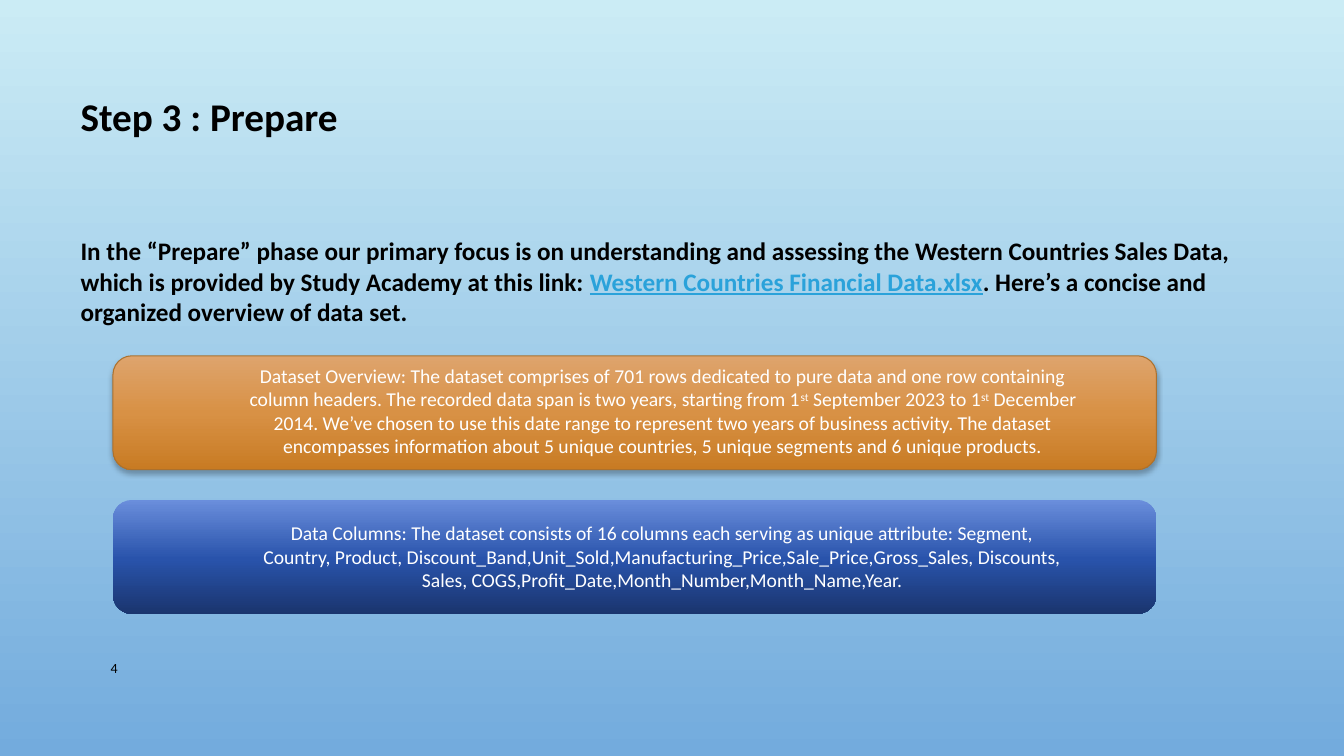
import pptx
import pptx.util
import pptx.dml.color
import pptx.enum.shapes
import pptx.enum.text
import pptx.oxml
import pptx.oxml.ns
from pptx.util import Inches

BLACK, WHITE, LINK_BLUE = "000000", "FFFFFF", "2AA2DA"
ALIGN = pptx.enum.text.PP_ALIGN
ANCHOR = pptx.enum.text.MSO_ANCHOR


def color(hex_code):
    return pptx.dml.color.RGBColor.from_string(hex_code)


def element(xml):
    """Parse an XML fragment in the drawing namespace."""
    head, rest = xml.split(">", 1)
    return pptx.oxml.parse_xml(f"{head} {pptx.oxml.ns.nsdecls('a')}>{rest}")


class SlideWriter:
    font_name = "Calibri"

    def __init__(self, slide):
        self.slide = slide

    def gradient(self, owner, fill, stops):
        """Fill from top to bottom with (percent, colour) stops."""
        fill.gradient()
        fill.gradient_angle = 270
        stop_list = owner._element.find(".//" + pptx.oxml.ns.qn("a:gsLst"))
        for default_stop in list(stop_list):
            stop_list.remove(default_stop)
        for percent, hex_code in stops:
            stop_list.append(element(
                f'<a:gs pos="{percent * 1000}"><a:srgbClr val="{hex_code}"/></a:gs>'))

    def background(self, stops):
        self.gradient(self.slide, self.slide.background.fill, stops)

    def panel(self, top, stops, outline=None, shadow=False):
        panel = self.slide.shapes.add_shape(
            pptx.enum.shapes.MSO_SHAPE.ROUNDED_RECTANGLE,
            Inches(1.12), Inches(top), Inches(10.35), Inches(1.13))
        self.gradient(panel, panel.fill, stops)
        if outline:
            panel.line.color.rgb = color(outline)
            panel.line.width = pptx.util.Pt(0.75)
        else:
            panel.line.fill.background()
        panel.shadow.inherit = False
        if shadow:
            effects = panel._element.spPr.find(pptx.oxml.ns.qn("a:effectLst"))
            effects.append(element(
                '<a:outerShdw blurRad="50800" dist="25400" dir="5400000" rotWithShape="0">'
                '<a:srgbClr val="000000"><a:alpha val="28000"/></a:srgbClr></a:outerShdw>'))

    def text(self, left, top, width, height, runs, size, hex_code=BLACK,
             bold=False, align=ALIGN.LEFT, anchor=ANCHOR.TOP):
        """Write one paragraph from (text, style) runs; style is "", "link" or "super"."""
        box = self.slide.shapes.add_textbox(
            Inches(left), Inches(top), Inches(width), Inches(height))
        frame = box.text_frame
        frame.word_wrap = True
        frame.vertical_anchor = anchor
        paragraph = frame.paragraphs[0]
        paragraph.alignment = align
        for words, style in runs:
            run = paragraph.add_run()
            run.text = words
            font = run.font
            font.name = self.font_name
            font.size = pptx.util.Pt(size)
            font.bold = bold
            font.color.rgb = color(LINK_BLUE if style == "link" else hex_code)
            if style == "link":
                font.underline = True
            elif style == "super":
                font._element.set("baseline", "30000")


def main():
    deck = pptx.Presentation()
    deck.slide_width, deck.slide_height = Inches(13.33), Inches(7.5)
    writer = SlideWriter(deck.slides.add_slide(deck.slide_layouts[6]))
    writer.background([(0, "CBECF5"), (100, "73ABDD")])

    # Title and introduction
    writer.text(0.7, 0.87, 12.11, 0.57, [("Step 3 : Prepare", "")], 28, bold=True)
    writer.text(0.7, 2.29, 12.11, 1.0, [
        ("In the “Prepare” phase our primary focus is on understanding and assessing "
         "the Western Countries Sales Data, which is provided by Study Academy at this link: ", ""),
        ("Western Countries Financial Data.xlsx", "link"),
        (". Here’s a concise and organized overview of data set.", ""),
    ], 18, bold=True)

    # Dataset overview
    writer.panel(3.53, [(0, "DEA46D"), (50, "D89145"), (100, "C87B23")],
                 outline="AC712D", shadow=True)
    writer.text(2.3, 3.56, 8.55, 1.04, [
        ("Dataset Overview: The dataset comprises of 701 rows dedicated to pure data and one row "
         "containing column headers. The recorded data span is two years, starting from 1", ""),
        ("st", "super"),
        (" September 2023 to 1", ""),
        ("st", "super"),
        (" December 2014. We’ve chosen to use this date range to represent two years of business "
         "activity. The dataset encompasses information about 5 unique countries, "
         "5 unique segments and 6 unique products.", ""),
    ], 14, WHITE, align=ALIGN.CENTER)

    # Data columns
    writer.panel(4.96, [(0, "6A8EDC"), (52, "2953AB"), (100, "1A356E")])
    writer.text(2.45, 5.12, 8.24, 0.81, [
        ("Data Columns: The dataset consists of 16 columns each serving as unique attribute: "
         "Segment, Country, Product, Discount_Band,Unit_Sold,Manufacturing_Price,Sale_Price,"
         "Gross_Sales, Discounts, Sales, COGS,Profit_Date,Month_Number,Month_Name,Year.", ""),
    ], 14, WHITE, align=ALIGN.CENTER)

    # Slide number
    writer.text(1, 6.43, 7.3, 0.4, [("4", "")], 10, anchor=ANCHOR.MIDDLE)

    deck.save("out.pptx")


if __name__ == "__main__":
    main()
